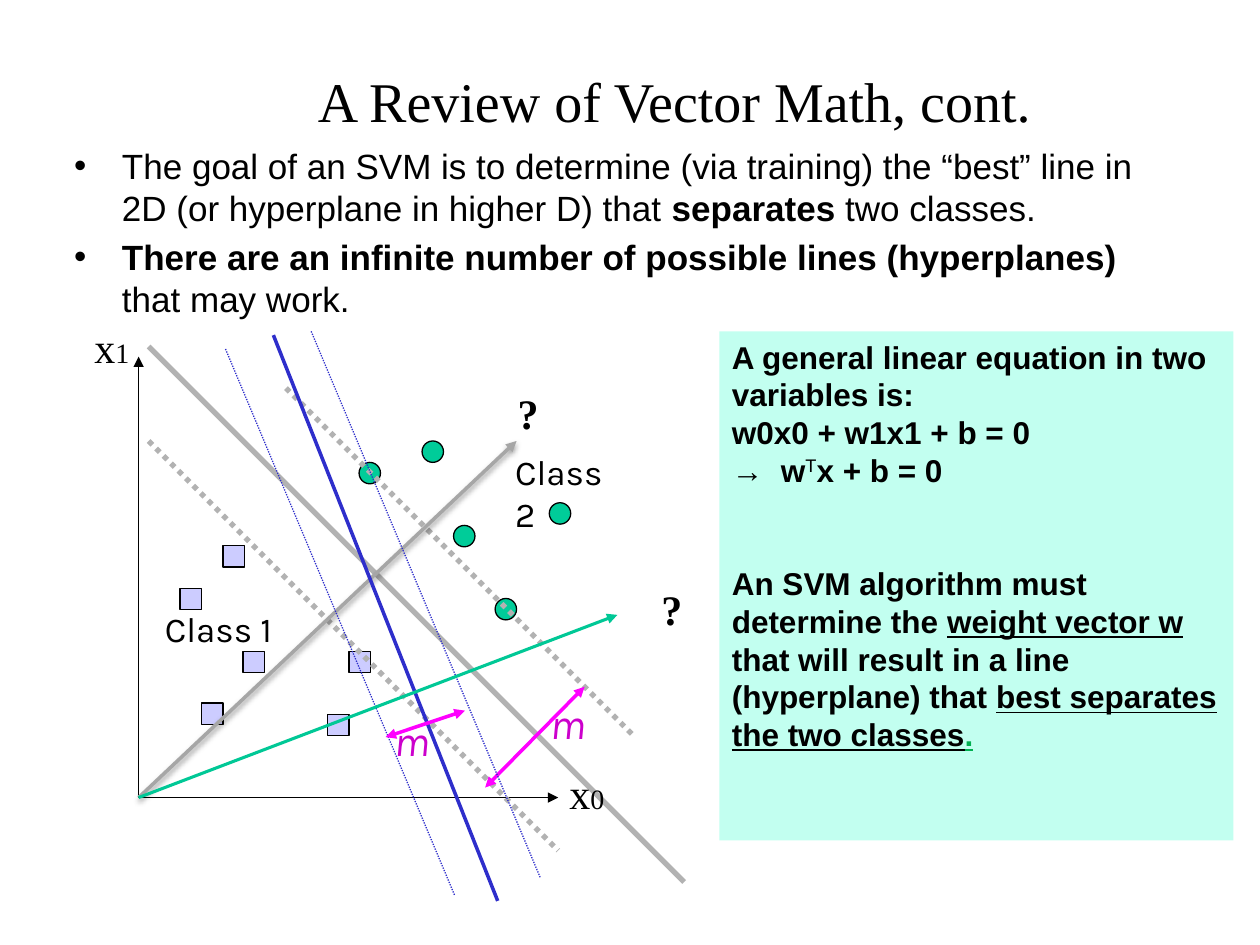
from lxml import etree
from pptx import Presentation
from pptx.dml.color import RGBColor
from pptx.enum.dml import MSO_LINE
from pptx.enum.shapes import MSO_CONNECTOR, MSO_SHAPE
from pptx.enum.text import MSO_ANCHOR, MSO_AUTO_SIZE, PP_ALIGN
from pptx.oxml.ns import qn
from pptx.util import Inches, Pt

OVAL, SQUARE = MSO_SHAPE.OVAL, MSO_SHAPE.RECTANGLE
STRAIGHT = MSO_CONNECTOR.STRAIGHT
DOTTED = MSO_LINE.ROUND_DOT
TOP, MIDDLE = MSO_ANCHOR.TOP, MSO_ANCHOR.MIDDLE
LEFT, CENTER = PP_ALIGN.LEFT, PP_ALIGN.CENTER
GROW = MSO_AUTO_SIZE.SHAPE_TO_FIT_TEXT

SERIF, SANS, LABEL = "Times New Roman", "Arial", "Karla"
COLORS = {
    "black": "000000", "circle": "00CC99", "square": "CCCCFF",
    "gray": "B2B2B2", "vector": "A6A6A6", "blue": "2E2ECB",
    "teal": "00C896", "magenta": "FF00FF", "margin": "CC00CC",
    "panel": "C2FFF0", "green": "00B050",
}
MARKER_SIZE = 0.17
ORIGIN = (1.1, 6.33)
CLASS_2_POINTS = [(3.35, 3.5), (3.6, 4.17), (4.36, 3.99), (2.85, 3.67), (3.93, 4.75)]
CLASS_1_POINTS = [(1.43, 4.67), (2.77, 5.17), (2.6, 5.67),
                  (1.93, 5.17), (1.6, 5.58), (1.77, 4.33)]
GOALS = [
    [("The goal of an SVM is to determine (via training) the “best” line in 2D "
      "(or hyperplane in higher D) that ", {}),
     ("separates", {"bold": True}), (" two classes.", {})],
    [("There are an infinite number of possible lines (hyperplanes)", {"bold": True}),
     (" that may work.", {})],
]
BOLD = {"bold": True}
UNDERLINED = {"bold": True, "underline": True}
EQUATIONS = [
    [("A general linear equation in two variables is:", BOLD)],
    [("w0x0 + w1x1 + b = 0", BOLD)],
    [("→  w", BOLD), ("T", {"baseline": 30}), ("x + b = 0", BOLD)],
    [("An SVM algorithm must determine the ", BOLD),
     ("weight vector w ", UNDERLINED),
     ("that will result in a line (hyperplane) that ", BOLD),
     ("best separates the two classes", UNDERLINED),
     (".", {**UNDERLINED, "color": "green"})],
]


def rgb(name):
    """Return the named palette colour."""
    return RGBColor.from_string(COLORS[name])


def add_run(paragraph, text, font, size, color="black", bold=False,
            italic=False, underline=False, baseline=0):
    """Add one formatted run to a paragraph."""
    run = paragraph.add_run()
    run.text = text
    run.font.name = font
    run.font.size = Pt(size)
    run.font.color.rgb = rgb(color)
    run.font.bold = bold
    run.font.italic = italic
    run.font.underline = underline
    if baseline:
        run.font._element.set("baseline", str(baseline * 1000))


def add_bullet(paragraph):
    """Give a paragraph a hanging round bullet."""
    properties = paragraph._p.get_or_add_pPr()
    properties.set("marL", str(Inches(0.38)))
    properties.set("indent", str(-Inches(0.38)))
    etree.SubElement(properties, qn("a:buFont"), typeface=SANS)
    etree.SubElement(properties, qn("a:buChar"), char="•")


def fill_text(shape, paragraphs, font, size, anchor=TOP, align=LEFT,
              bullets=False, wrap=True):
    """Write paragraphs of runs into a shape and return them."""
    frame = shape.text_frame
    frame.word_wrap = wrap
    frame.vertical_anchor = anchor
    for index, runs in enumerate(paragraphs):
        paragraph = frame.add_paragraph() if index else frame.paragraphs[0]
        if bullets:
            add_bullet(paragraph)
        paragraph.alignment = align
        for text, style in runs:
            add_run(paragraph, text, font, **{"size": size, **style})
    return frame.paragraphs


def add_text(slide, box, paragraphs, font, size, **options):
    """Add a text box at left, top, width, height in inches."""
    shape = slide.shapes.add_textbox(*map(Inches, box))
    return fill_text(shape, paragraphs, font, size, **options)


def add_label(slide, box, runs, font, size, wrap=False):
    """Add a short diagram label whose box fits its text."""
    shape = slide.shapes.add_textbox(*map(Inches, box))
    fill_text(shape, [runs], font, size, wrap=wrap)
    shape.text_frame.auto_size = GROW


def add_markers(slide, kind, points, color):
    """Add one outlined data marker per point."""
    for left, top in points:
        marker = slide.shapes.add_shape(
            kind, *map(Inches, (left, top, MARKER_SIZE, MARKER_SIZE)))
        marker.shadow.inherit = False
        marker.fill.solid()
        marker.fill.fore_color.rgb = rgb(color)
        marker.line.color.rgb = rgb("black")
        marker.line.width = Pt(0.75)


def add_line(slide, start, end, color, width, dash=None, arrows=(), shadow=False):
    """Add a straight line with optional dashes, arrowheads and soft shadow."""
    line = slide.shapes.add_connector(STRAIGHT, *map(Inches, (*start, *end)))
    line.line.color.rgb = rgb(color)
    line.line.width = Pt(width)
    if dash:
        line.line.dash_style = dash
    for arrow in arrows:
        etree.SubElement(line.line._get_or_add_ln(), qn(f"a:{arrow}"), type="triangle")
    effects = etree.SubElement(line._element.spPr, qn("a:effectLst"))
    if shadow:
        outer = etree.SubElement(effects, qn("a:outerShdw"), blurRad=str(Pt(3.1)),
                                 dist=str(Pt(1.6)), dir="5400000", rotWithShape="0")
        tint = etree.SubElement(outer, qn("a:srgbClr"), val=COLORS["black"])
        etree.SubElement(tint, qn("a:alpha"), val="38000")


def add_panel(slide):
    """Add the filled panel that explains the linear equation."""
    panel = slide.shapes.add_shape(SQUARE, *map(Inches, (5.71, 2.63, 4.08, 4.04)))
    panel.shadow.inherit = False
    panel.fill.solid()
    panel.fill.fore_color.rgb = rgb("panel")
    panel.line.fill.background()
    paragraphs = fill_text(panel, EQUATIONS, SANS, 18)
    paragraphs[-1].space_before = Pt(43)


def add_gray_candidate(slide):
    """Add the gray separating line with its margins and normal vector."""
    both = ("headEnd", "tailEnd")
    add_line(slide, (2.27, 3.08), (5.02, 5.83), "gray", 3, DOTTED)
    add_line(slide, (1.18, 3.5), (4.43, 6.75), "gray", 3, DOTTED)
    add_line(slide, (1.18, 2.75), (5.43, 7), "gray", 3)
    add_line(slide, (4.64, 5.45), (3.85, 6.25), "magenta", 2, arrows=both)
    add_line(slide, ORIGIN, (4.1, 3.5), "vector", 2, arrows=("tailEnd",), shadow=True)


def add_blue_candidate(slide):
    """Add the blue separating line with its margins and normal vector."""
    both = ("headEnd", "tailEnd")
    add_line(slide, (2.17, 2.66), (3.95, 7.15), "blue", 2)
    for left, top in [(2.47, 2.63), (1.79, 2.77)]:
        add_line(slide, (left, top), (left + 1.82, top + 4.34), "blue", 0.75, DOTTED)
    add_line(slide, ORIGIN, (4.9, 4.88), "teal", 1.75, arrows=("tailEnd",))
    add_line(slide, (3.69, 5.64), (3.06, 5.85), "magenta", 2, arrows=both)


def add_labels(slide):
    """Label the classes, axes, margins and candidate vectors."""
    for text, left, top in [("Class 1", 1.21, 4.77), ("Class 2", 3.99, 3.53)]:
        add_label(slide, (left, top, 1.06, 0.43), [(text, {})], LABEL, 20, wrap=True)
    for index, left, top in [("0", 4.42, 6.04), ("1", 0.65, 2.5)]:
        add_label(slide, (left, top, 0.48, 0.5),
                  [("x", {}), (index, {"size": 16})], SERIF, 24)
    for left, top in [(4.27, 5.49), (3.03, 5.62)]:
        add_label(slide, (left, top, 0.48, 0.5),
                  [("m", {"italic": True, "color": "margin"})], LABEL, 24)
    for left, top in [(4.01, 3.03), (5.15, 4.58)]:
        add_label(slide, (left, top, 0.37, 0.5), [("?", BOLD)], SERIF, 24)


def main():
    """Build the slide and save it."""
    presentation = Presentation()
    presentation.slide_width, presentation.slide_height = Inches(10), Inches(7.5)
    slide = presentation.slides.add_slide(presentation.slide_layouts[6])
    add_text(slide, (1.71, 0.38, 7.29, 0.83), [[("A Review of Vector Math, cont.", {})]],
             SERIF, 32, anchor=MIDDLE, align=CENTER)
    goals = add_text(slide, (0.49, 1.1, 8.83, 1.43), GOALS, SANS, 20, bullets=True)
    goals[1].space_before = Pt(4)
    for end in [(1.1, 2.83), (4.43, 6.33)]:
        add_line(slide, ORIGIN, end, "black", 1, arrows=("tailEnd",))
    add_markers(slide, OVAL, CLASS_2_POINTS, "circle")
    add_markers(slide, SQUARE, CLASS_1_POINTS, "square")
    add_gray_candidate(slide)
    add_panel(slide)
    add_blue_candidate(slide)
    add_labels(slide)
    presentation.save("out.pptx")


if __name__ == "__main__":
    main()
